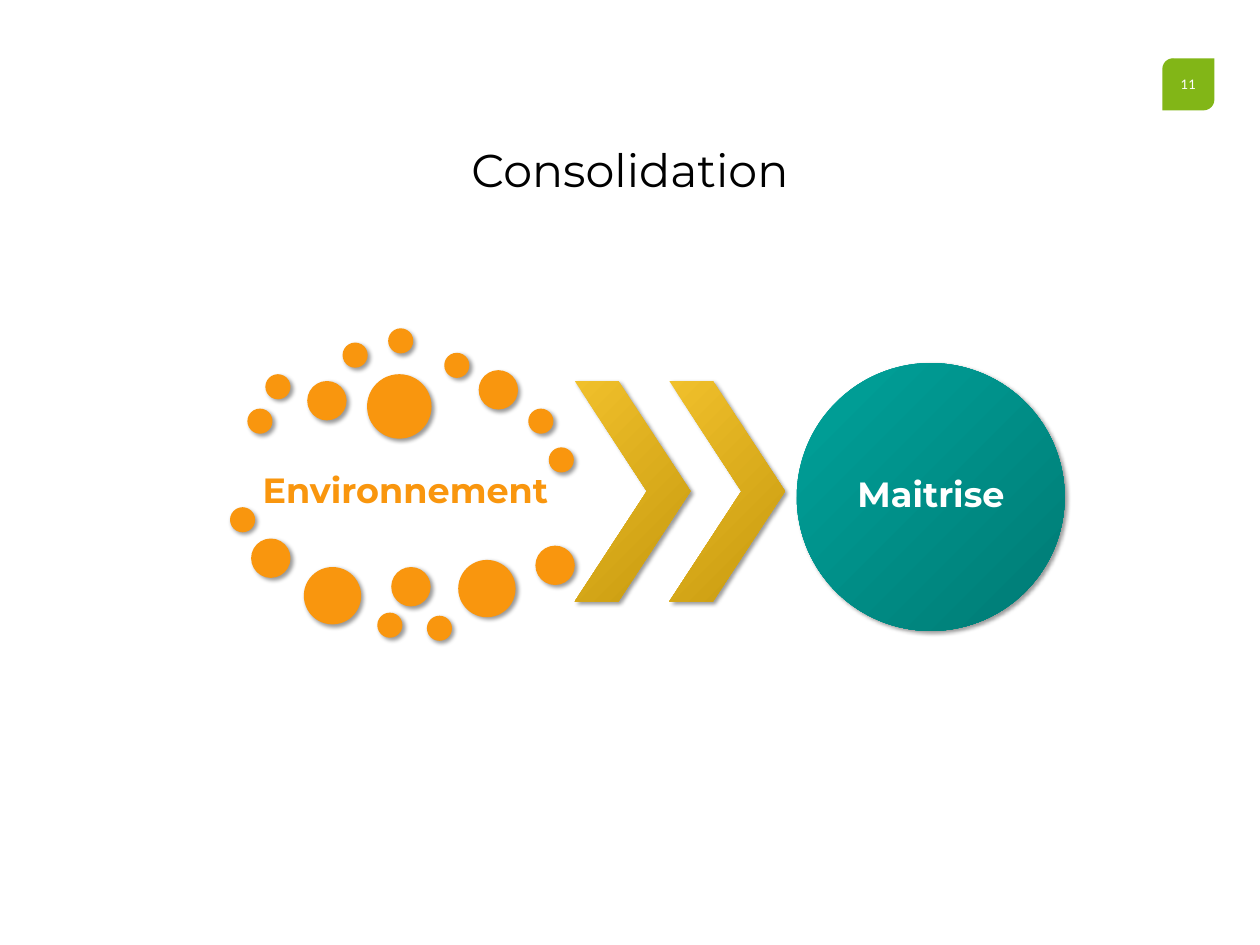
from dataclasses import dataclass

from lxml import etree
from pptx import Presentation
from pptx.dml.color import RGBColor
from pptx.enum.shapes import MSO_SHAPE
from pptx.enum.text import MSO_ANCHOR, MSO_AUTO_SIZE, PP_ALIGN
from pptx.oxml.ns import qn
from pptx.shapes.autoshape import Shape
from pptx.slide import Slide
from pptx.text.text import TextFrame
from pptx.util import Cm, Pt

ELLIPSE = MSO_SHAPE.OVAL
CHEVRON = MSO_SHAPE.CHEVRON
BADGE = MSO_SHAPE.ROUND_2_DIAG_RECTANGLE
CENTER = PP_ALIGN.CENTER
MIDDLE = MSO_ANCHOR.MIDDLE
TOP = MSO_ANCHOR.TOP
GROW = MSO_AUTO_SIZE.SHAPE_TO_FIT_TEXT

COLORS = {
    "badge": "82B617",
    "orange": "F9960E",
    "gold_light": "F0C02B",
    "gold_dark": "C6990E",
    "teal_light": "00A39B",
    "teal_dark": "007A74",
    "shadow": "000000",
    "black": "000000",
    "white": "FFFFFF",
}
HEADING_FONT = "Montserrat"
NUMBER_FONT = "Lato"
TITLE_ONLY_LAYOUT = 5
DIAGONAL = 315
SMALL, MEDIUM, LARGE, LARGEST = 0.81, 1.27, 1.85, 2.08


@dataclass(frozen=True)
class Box:
    left: float
    top: float
    width: float
    height: float

    def lengths(self) -> tuple[Cm, Cm, Cm, Cm]:
        return Cm(self.left), Cm(self.top), Cm(self.width), Cm(self.height)


@dataclass(frozen=True)
class Dot:
    left: float
    top: float
    size: float


@dataclass(frozen=True)
class TextStyle:
    font: str
    size: int
    color: str
    bold: bool = False


DOTS = [
    Dot(7.98, 13.18, SMALL),
    Dot(8.56, 12.07, SMALL),
    Dot(9.91, 12.29, MEDIUM),
    Dot(11.05, 11.05, SMALL),
    Dot(12.52, 10.59, SMALL),
    Dot(14.33, 11.38, SMALL),
    Dot(15.44, 11.94, MEDIUM),
    Dot(17.04, 13.18, SMALL),
    Dot(17.7, 14.43, SMALL),
    Dot(11.84, 12.07, LARGEST),
    Dot(7.42, 16.36, SMALL),
    Dot(8.1, 17.37, MEDIUM),
    Dot(9.8, 18.29, LARGE),
    Dot(12.17, 19.76, SMALL),
    Dot(12.62, 18.29, MEDIUM),
    Dot(13.77, 19.86, SMALL),
    Dot(14.78, 18.06, LARGE),
    Dot(17.27, 17.6, MEDIUM),
]


def set_margins(frame: TextFrame, horizontal: float, vertical: float) -> None:
    frame.margin_left = frame.margin_right = Cm(horizontal)
    frame.margin_top = frame.margin_bottom = Cm(vertical)


def write_text(frame: TextFrame, text: str, style: TextStyle, spacing: float = 1.0) -> None:
    paragraph = frame.paragraphs[0]
    paragraph.alignment = CENTER
    paragraph.line_spacing = spacing
    run = paragraph.add_run()
    run.text = text
    run.font.name = style.font
    run.font.size = Pt(style.size)
    run.font.bold = style.bold
    run.font.color.rgb = RGBColor.from_string(COLORS[style.color])


def add_shape(slide: Slide, preset: MSO_SHAPE, box: Box, *colors: str) -> Shape:
    shape = slide.shapes.add_shape(preset, *box.lengths())
    shape.shadow.inherit = False
    shape.line.fill.background()
    if len(colors) == 1:
        shape.fill.solid()
        shape.fill.fore_color.rgb = RGBColor.from_string(COLORS[colors[0]])
    else:
        shape.fill.gradient()
        shape.fill.gradient_angle = DIAGONAL
        for stop, color in zip(shape.fill.gradient_stops, colors):
            stop.color.rgb = RGBColor.from_string(COLORS[color])
    return shape


def add_shadow(shape: Shape) -> None:
    effects = shape.element.spPr.find(qn("a:effectLst"))
    shadow = etree.SubElement(
        effects,
        qn("a:outerShdw"),
        blurRad=str(Pt(4)),
        dist=str(Pt(3)),
        dir=str(45 * 60000),
        algn="tl",
        rotWithShape="0",
    )
    color = etree.SubElement(shadow, qn("a:srgbClr"), val=COLORS["shadow"])
    etree.SubElement(color, qn("a:alpha"), val="40000")


def add_label(slide: Slide, text: str, box: Box, color: str, margin: float) -> None:
    frame = slide.shapes.add_textbox(*box.lengths()).text_frame
    frame.word_wrap = True
    frame.vertical_anchor = MIDDLE
    set_margins(frame, margin, margin)
    write_text(frame, text, TextStyle(HEADING_FONT, 32, color, True), 0.9)


def add_title(slide: Slide) -> None:
    title = slide.shapes.title
    title.left, title.top, title.width, title.height = Box(14.78, 4.47, 11.07, 2.01).lengths()
    frame = title.text_frame
    frame.word_wrap = False
    frame.auto_size = GROW
    frame.vertical_anchor = TOP
    set_margins(frame, 0.2, 0.1)
    write_text(frame, "Consolidation", TextStyle(HEADING_FONT, 42, "black"))


def add_page_number(slide: Slide) -> None:
    badge = add_shape(slide, BADGE, Box(37.49, 1.88, 1.68, 1.68), "badge")
    badge.adjustments[0] = 0.207
    badge.text_frame.vertical_anchor = MIDDLE
    write_text(badge.text_frame, "11", TextStyle(NUMBER_FONT, 12, "white"))


def add_environment(slide: Slide) -> None:
    add_label(slide, "Environnement", Box(8, 14.2, 10.16, 3.35), "orange", 0.1)
    for dot in DOTS:
        box = Box(dot.left, dot.top, dot.size, dot.size)
        add_shadow(add_shape(slide, ELLIPSE, box, "orange"))


def add_chevrons(slide: Slide) -> None:
    for index in range(2):
        box = Box(18.54 + 3.05 * index, 12.29, 3.73, 7.11)
        chevron = add_shape(slide, CHEVRON, box, "gold_light", "gold_dark")
        chevron.adjustments[0] = 0.623
        add_shadow(chevron)


def add_mastery(slide: Slide) -> None:
    circle = add_shape(slide, ELLIPSE, Box(25.7, 11.71, 8.64, 8.64), "teal_light", "teal_dark")
    add_shadow(circle)
    add_label(slide, "Maitrise", Box(26.97, 12.95, 6.12, 6.12), "white", 0)


def main() -> None:
    presentation = Presentation()
    presentation.slide_width = Cm(40.64)
    presentation.slide_height = Cm(30.48)
    slide = presentation.slides.add_slide(presentation.slide_layouts[TITLE_ONLY_LAYOUT])
    add_page_number(slide)
    add_environment(slide)
    add_chevrons(slide)
    add_mastery(slide)
    add_title(slide)
    presentation.save("out.pptx")


if __name__ == "__main__":
    main()
